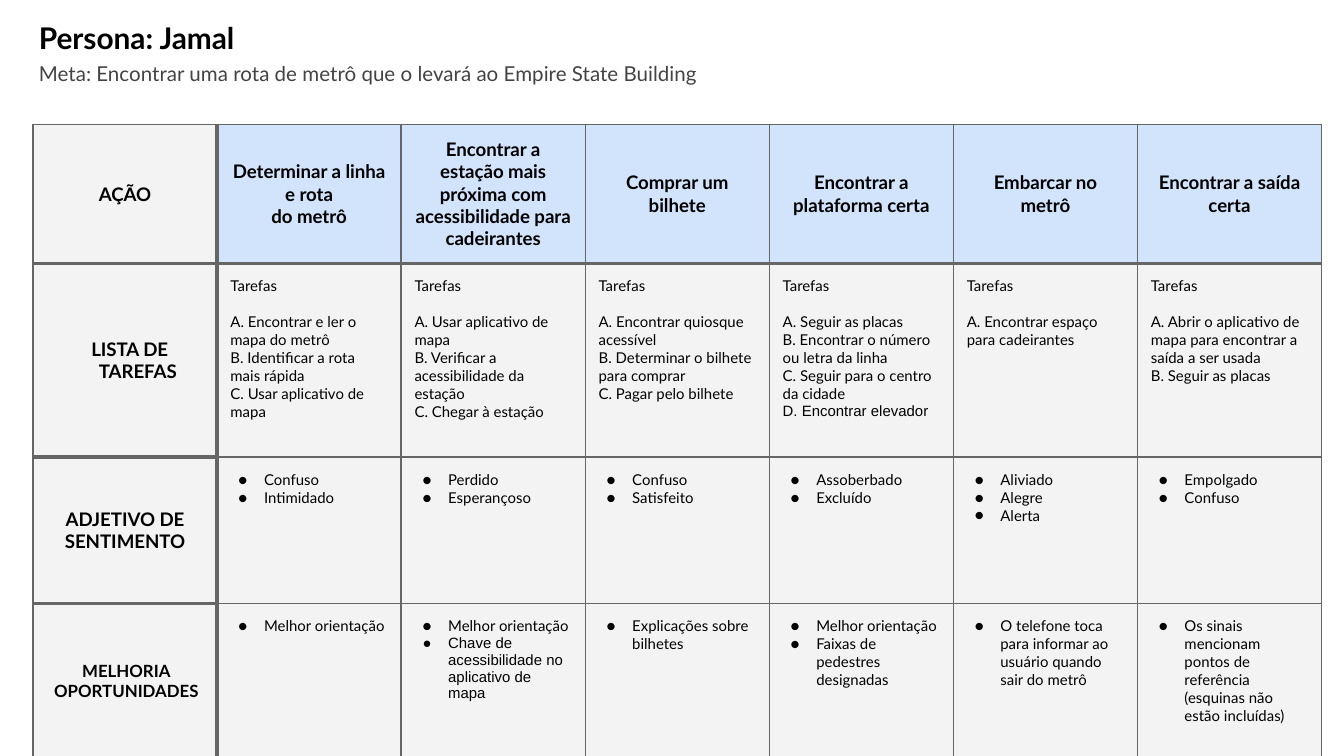
"""Build the journey map slide for the persona Jamal."""
from dataclasses import dataclass

from lxml import etree
from pptx import Presentation
from pptx import util as u
from pptx.dml.color import RGBColor
from pptx.enum import text
from pptx.oxml import ns

PX = 4572
COLORS = {"ink": "000000", "muted": "434343", "line": "666666",
          "panel": "F3F3F3", "action": "D2E3FC", "page": "FFFFFF"}
COLUMN_WIDTH = 274
ROW_HEIGHTS = [156, 288, 218, 230]
INSET = 20
THIN, THICK = 0.75, 2.25


@dataclass(frozen=True)
class Style:
    size: int
    bold: bool = False
    color: str = "ink"
    centered: bool = False
    bullet: bool = False
    left: int = 0
    indent: int = 0
    gap_after_first: float = 0


@dataclass(frozen=True)
class Heading:
    words: str
    left: int
    top: int
    width: int
    height: int
    style: Style


@dataclass(frozen=True)
class Stage:
    action: str
    tasks: list[str]
    feelings: list[str]
    improvements: list[str]


LABEL = Style(10, bold=True, centered=True)
TASKS = Style(8, gap_after_first=9.6)
BULLETS = Style(8, bullet=True, left=50, indent=-38)
LABELS = [
    ("AÇÃO", LABEL),
    ("LISTA DE TAREFAS", Style(10, bold=True, centered=True, left=38, indent=-24)),
    ("ADJETIVO DE SENTIMENTO", LABEL),
    ("MELHORIA\nOPORTUNIDADES", Style(9, bold=True, centered=True)),
]
HEADINGS = [
    Heading("Persona: Jamal", 38, 10, 390, 88, Style(16, bold=True)),
    Heading("Meta: Encontrar uma rota de metrô que o levará ao Empire State Building",
            38, 73, 1856, 60, Style(11, color="muted")),
]
STAGES = [
    Stage("Determinar a linha e rota\ndo metrô",
          ["A. Encontrar e ler o mapa do metrô", "B. Identificar a rota mais rápida",
           "C. Usar aplicativo de mapa"],
          ["Confuso", "Intimidado"], ["Melhor orientação"]),
    Stage("Encontrar a estação mais próxima com acessibilidade para cadeirantes",
          ["A. Usar aplicativo de mapa", "B. Verificar a acessibilidade da estação",
           "C. Chegar à estação"],
          ["Perdido", "Esperançoso"],
          ["Melhor orientação", "Chave de acessibilidade no aplicativo de mapa"]),
    Stage("Comprar um bilhete",
          ["A. Encontrar quiosque acessível", "B. Determinar o bilhete para comprar",
           "C. Pagar pelo bilhete"],
          ["Confuso", "Satisfeito"], ["Explicações sobre bilhetes"]),
    Stage("Encontrar a plataforma certa",
          ["A. Seguir as placas", "B. Encontrar o número ou letra da linha",
           "C. Seguir para o centro da cidade", "D. Encontrar elevador"],
          ["Assoberbado", "Excluído"],
          ["Melhor orientação", "Faixas de pedestres designadas"]),
    Stage("Embarcar no metrô", ["A. Encontrar espaço para cadeirantes"],
          ["Aliviado", "Alegre", "Alerta"],
          ["O telefone toca para informar ao usuário quando sair do metrô"]),
    Stage("Encontrar a saída certa",
          ["A. Abrir o aplicativo de mapa para encontrar a saída a ser usada",
           "B. Seguir as placas"],
          ["Empolgado", "Confuso"],
          ["Os sinais mencionam pontos de referência (esquinas não estão incluídas)"]),
]
ARIAL_LINES = {"D. Encontrar elevador", "Chave de acessibilidade no aplicativo de mapa"}


def px(length: int) -> u.Emu:
    """Turn px into EMU."""
    return u.Emu(length * PX)


def add_color(parent, name: str) -> None:
    """Append a solid colour element to an XML parent."""
    etree.SubElement(parent, ns.qn("a:srgbClr"), val=COLORS[name])


def write(frame, words: str, style: Style) -> None:
    """Fill a text frame and format its paragraphs and runs."""
    frame.text = words
    for number, para in enumerate(frame.paragraphs):
        para.alignment = text.PP_ALIGN.CENTER if style.centered else text.PP_ALIGN.LEFT
        if number == 0 and style.gap_after_first:
            para.space_after = u.Pt(style.gap_after_first)
        properties = para._p.get_or_add_pPr()
        properties.set("marL", str(px(style.left)))
        properties.set("indent", str(px(style.indent)))
        font_name = "Arial" if para.text in ARIAL_LINES else "Lato"
        if style.bullet:
            add_color(etree.SubElement(properties, ns.qn("a:buClr")), "ink")
            etree.SubElement(properties, ns.qn("a:buFont"), typeface=font_name)
            etree.SubElement(properties, ns.qn("a:buChar"), char="●")
        for span in para.runs:
            span.font.name = font_name
            span.font.size = u.Pt(style.size)
            span.font.bold = style.bold
            span.font.color.rgb = RGBColor.from_string(COLORS[style.color])


def set_margins(target, left: int = INSET) -> None:
    """Set the insets of a cell or text frame."""
    target.margin_left = px(left)
    target.margin_top = target.margin_right = target.margin_bottom = px(INSET)


def add_heading(page, heading: Heading) -> None:
    """Add one heading text box."""
    box = page.shapes.add_textbox(px(heading.left), px(heading.top),
                                  px(heading.width), px(heading.height))
    box.text_frame.word_wrap = True
    set_margins(box.text_frame)
    write(box.text_frame, heading.words, heading.style)


def draw_borders(cell, row: int, column: int) -> None:
    """Draw thick rules around the label column and below the header."""
    def across(edge: int) -> float:
        inner = 0 < edge < len(ROW_HEIGHTS)
        return THICK if edge == 1 or (column == 0 and inner) else THIN

    def down(edge: int) -> float:
        return THICK if edge == 1 else THIN

    widths = {"L": down(column), "R": down(column + 1),
              "T": across(row), "B": across(row + 1)}
    properties = cell._tc.get_or_add_tcPr()
    for side, width in widths.items():
        line = etree.SubElement(properties, ns.qn(f"a:ln{side}"), w=str(u.Pt(width)))
        add_color(etree.SubElement(line, ns.qn("a:solidFill")), "line")


def fill_cell(table, row: int, column: int, words: str, style: Style) -> None:
    """Write and format one table cell."""
    cell = table.cell(row, column)
    write(cell.text_frame, words, style)
    is_last_label = column == 0 and row == len(ROW_HEIGHTS) - 1
    set_margins(cell, 24 if is_last_label else INSET)
    cell.vertical_anchor = (text.MSO_ANCHOR.MIDDLE if style.centered
                            else text.MSO_ANCHOR.TOP)
    draw_borders(cell, row, column)
    cell.fill.solid()
    color = "action" if row == 0 and column > 0 else "panel"
    cell.fill.fore_color.rgb = RGBColor.from_string(COLORS[color])


def add_journey(page) -> None:
    """Add the journey table."""
    count = len(STAGES) + 1
    table = page.shapes.add_table(len(ROW_HEIGHTS), count, px(49), px(185),
                                  px(COLUMN_WIDTH * count), px(sum(ROW_HEIGHTS))).table
    table.first_row = table.horz_banding = False
    for column in table.columns:
        column.width = px(COLUMN_WIDTH)
    for row, height in zip(table.rows, ROW_HEIGHTS):
        row.height = px(height)
    columns = [LABELS] + [
        [(stage.action, LABEL), ("\n".join(["Tarefas", *stage.tasks]), TASKS),
         ("\n".join(stage.feelings), BULLETS), ("\n".join(stage.improvements), BULLETS)]
        for stage in STAGES]
    for column, entries in enumerate(columns):
        for row, (words, style) in enumerate(entries):
            fill_cell(table, row, column, words, style)


def main() -> None:
    """Build and save the deck."""
    deck = Presentation()
    deck.slide_width, deck.slide_height = px(2000), px(1125)
    page = deck.slides.add_slide(deck.slide_layouts[6])
    page.background.fill.solid()
    page.background.fill.fore_color.rgb = RGBColor.from_string(COLORS["page"])
    for heading in HEADINGS:
        add_heading(page, heading)
    add_journey(page)
    deck.save("out.pptx")


if __name__ == "__main__":
    main()
